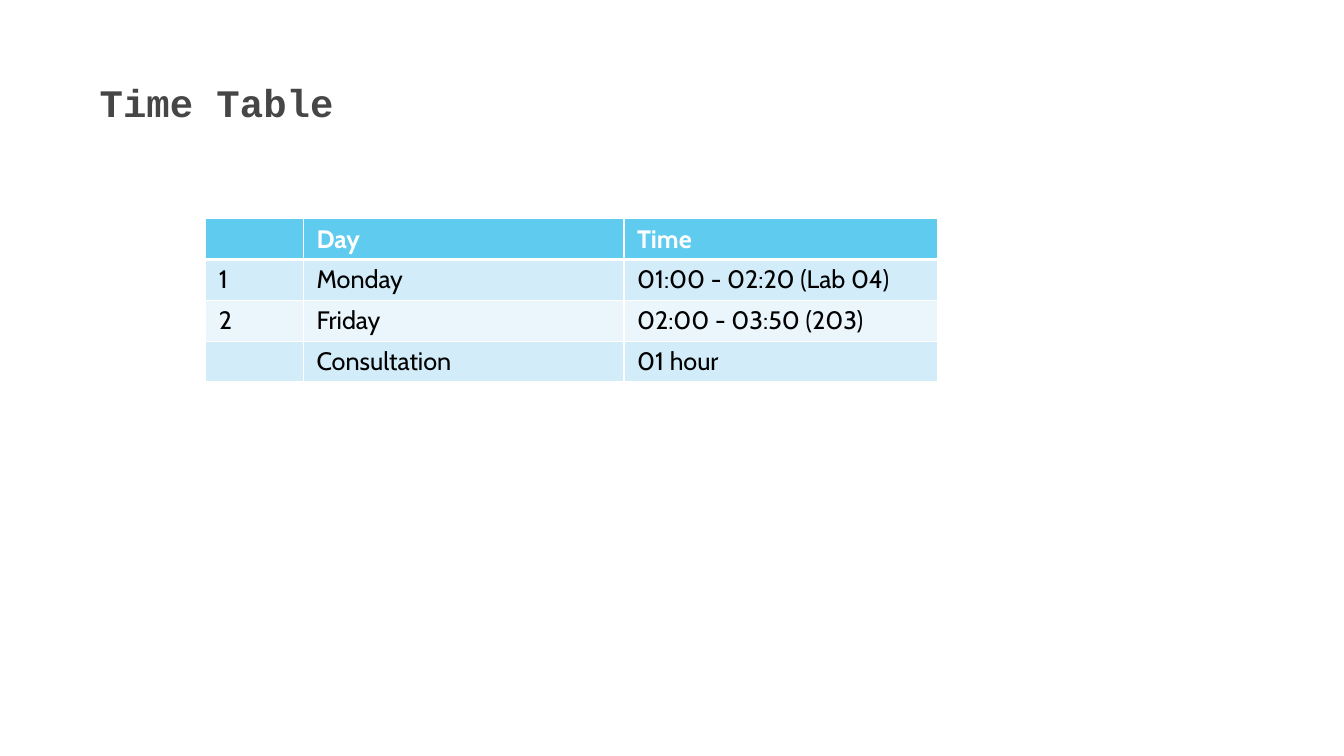
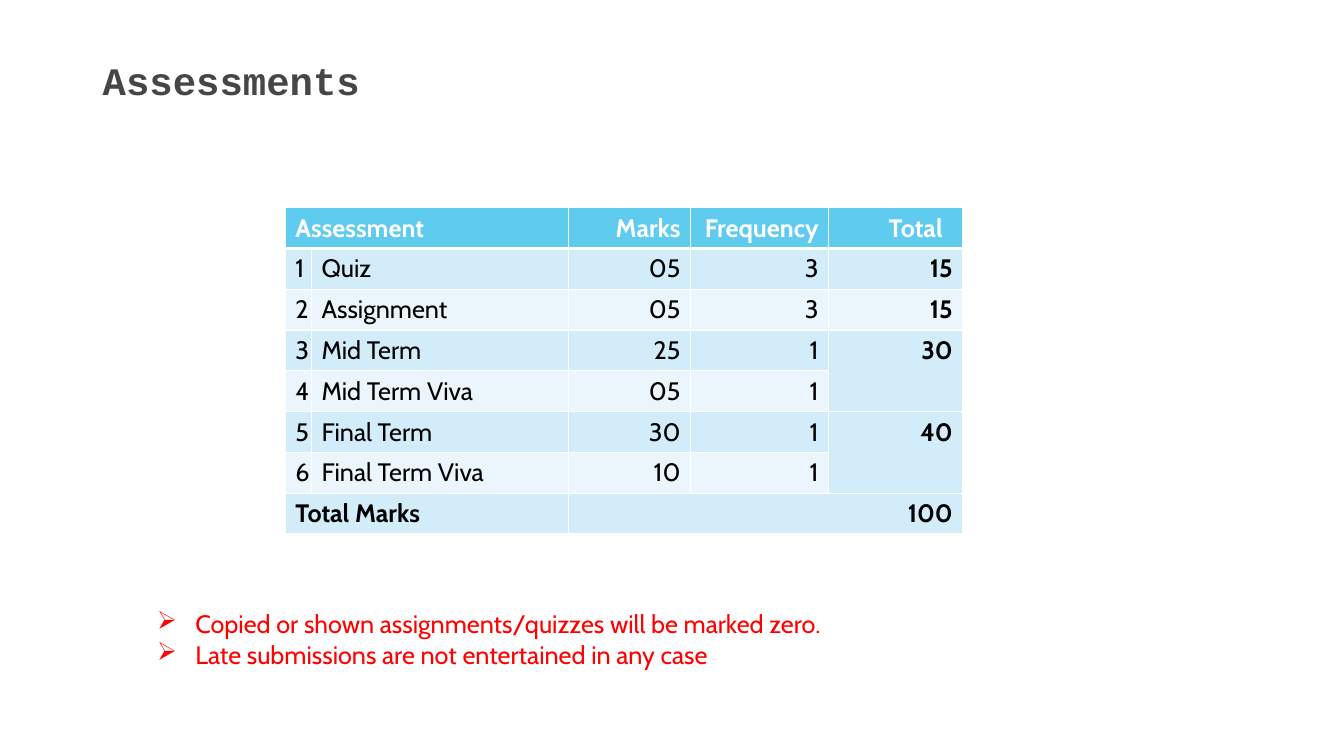
import dataclasses

import lxml.etree
import pptx
import pptx.dml.color
import pptx.enum.text
import pptx.oxml.ns
import pptx.util

Inches = pptx.util.Inches
Anchor = pptx.enum.text.MSO_ANCHOR
Align = pptx.enum.text.PP_ALIGN


@dataclasses.dataclass(frozen=True)
class Theme:
    title_font: str = "Courier New"
    body_font: str = "Cabin"
    title_size: float = 27.8
    title_tail_size: float = 36
    body_size: float = 18
    title: str = "464646"
    text: str = "000000"
    warning: str = "FF0000"
    white: str = "FFFFFF"
    header: str = "5FCBEF"
    bands: tuple = ("D2ECF9", "EAF6FC")
    border: float = 1
    header_border: float = 3


THEME = Theme()


def rgb(value):
    return pptx.dml.color.RGBColor.from_string(value)


# Text
def add_span(para, text, *, font=THEME.body_font, size=THEME.body_size,
             color=THEME.text, bold=False, align=None):
    span = para.add_run()
    span.text = text
    span.font.name = font
    span.font.size = pptx.util.Pt(size)
    span.font.bold = bold
    span.font.color.rgb = rgb(color)
    if align is not None:
        para.alignment = align
    return span


def add_frame(page, box, anchor=Anchor.TOP):
    frame = page.shapes.add_textbox(*map(Inches, box)).text_frame
    frame.word_wrap = True
    frame.vertical_anchor = anchor
    return frame


def add_title(page, box, text, anchor=Anchor.TOP, tail=""):
    para = add_frame(page, box, anchor).paragraphs[0]
    add_span(para, text, font=THEME.title_font, size=THEME.title_size,
             color=THEME.title, bold=True)
    if tail:
        add_span(para, tail, size=THEME.title_tail_size, color=THEME.header)


def add_bullets(page, box, lines, indent=0.38):
    frame = add_frame(page, box)
    for number, line in enumerate(lines):
        para = frame.add_paragraph() if number else frame.paragraphs[0]
        add_span(para, line, color=THEME.warning)
        props = para._p.get_or_add_pPr()
        props.set("marL", str(Inches(indent)))
        props.set("indent", str(-Inches(indent)))
        bullet = lxml.etree.SubElement(props, pptx.oxml.ns.qn("a:buChar"))
        bullet.set("char", "➢")


# Tables
def set_borders(cell, **widths):
    """Draw white cell edges; widths are points, keyed L, R, T and B."""
    qn = pptx.oxml.ns.qn
    props = cell._tc.get_or_add_tcPr()
    for position, side in enumerate("LRTB"):
        line = lxml.etree.Element(qn(f"a:ln{side}"))
        line.set("w", str(pptx.util.Pt(widths.get(side, THEME.border))))
        fill = lxml.etree.SubElement(line, qn("a:solidFill"))
        lxml.etree.SubElement(fill, qn("a:srgbClr")).set("val", THEME.white)
        props.insert(position, line)


def add_banded_table(page, box, widths, rows, *, inset=0.1, right_from=None,
                     is_bold=lambda row, column: False, merges=()):
    """Add a table with a header row; columns from right_from align right."""
    table = page.shapes.add_table(len(rows), len(widths),
                                  *map(Inches, box)).table
    table.first_row = table.horz_banding = False
    for column, width in zip(table.columns, widths):
        column.width = Inches(width)

    for row, values in enumerate(rows):
        header = row == 0
        fill = THEME.header if header else THEME.bands[(row - 1) % 2]
        for column, value in enumerate(values):
            cell = table.cell(row, column)
            cell.margin_left = cell.margin_right = Inches(inset)
            cell.fill.solid()
            cell.fill.fore_color.rgb = rgb(fill)
            set_borders(cell,
                        T=THEME.header_border if row == 1 else THEME.border,
                        B=THEME.header_border if header else THEME.border)
            if value:
                right = right_from is not None and column >= right_from
                add_span(cell.text_frame.paragraphs[0], value,
                         color=THEME.white if header else THEME.text,
                         bold=header or is_bold(row, column),
                         align=Align.RIGHT if right else None)

    for first, last in merges:
        table.cell(*first).merge(table.cell(*last))
    return table


# Slides
def build_time_table(page):
    add_title(page, (0.89, 0.67, 9.26, 0.68), "Time Table", Anchor.MIDDLE)
    add_banded_table(page, (2.04, 2.17, 7.25, 1.62), (0.97, 3.18, 3.11), [
        ("", "Day", "Time"),
        ("1", "Monday", "01:00 - 02:20 (Lab 04)"),
        ("2", "Friday", "02:00 - 03:50 (203)"),
        ("", "Consultation", "01 hour"),
    ], inset=0.13)


def build_assessments(page):
    add_title(page, (0.92, 0.4, 11.5, 1.26), "Assessments", tail=" ")
    rows = [
        ("Assessment", "", "Marks", "Frequency", "Total"),
        ("1", "Quiz", "05", "3", "15"),
        ("2", "Assignment", "05", "3", "15"),
        ("3", "Mid Term", "25", "1", "30"),
        ("4", "Mid Term Viva", "05", "1", ""),
        ("5", "Final Term", "30", "1", "40"),
        ("6", "Final Term Viva", "10", "1", ""),
        ("Total Marks", "", "100", "", ""),
    ]
    last = len(rows) - 1
    table = add_banded_table(
        page, (2.83, 2.06, 6.72, 3.24), (0.26, 2.55, 1.21, 1.37, 1.33), rows,
        right_from=2,
        is_bold=lambda row, column: row == last or column == 4,
        merges=[((0, 0), (0, 1)), ((3, 4), (4, 4)), ((5, 4), (6, 4)),
                ((last, 0), (last, 1)), ((last, 2), (last, 4))])
    table.cell(0, 4).margin_right = Inches(0.2)
    add_bullets(page, (1.46, 5.99, 9.11, 0.71), [
        "Copied or shown assignments/quizzes will be marked zero.",
        "Late submissions are not entertained in any case",
    ])


def main():
    deck = pptx.Presentation()
    deck.slide_width, deck.slide_height = Inches(13.33), Inches(7.5)
    for build in (build_time_table, build_assessments):
        build(deck.slides.add_slide(deck.slide_layouts[6]))
    deck.save("out.pptx")


if __name__ == "__main__":
    main()
